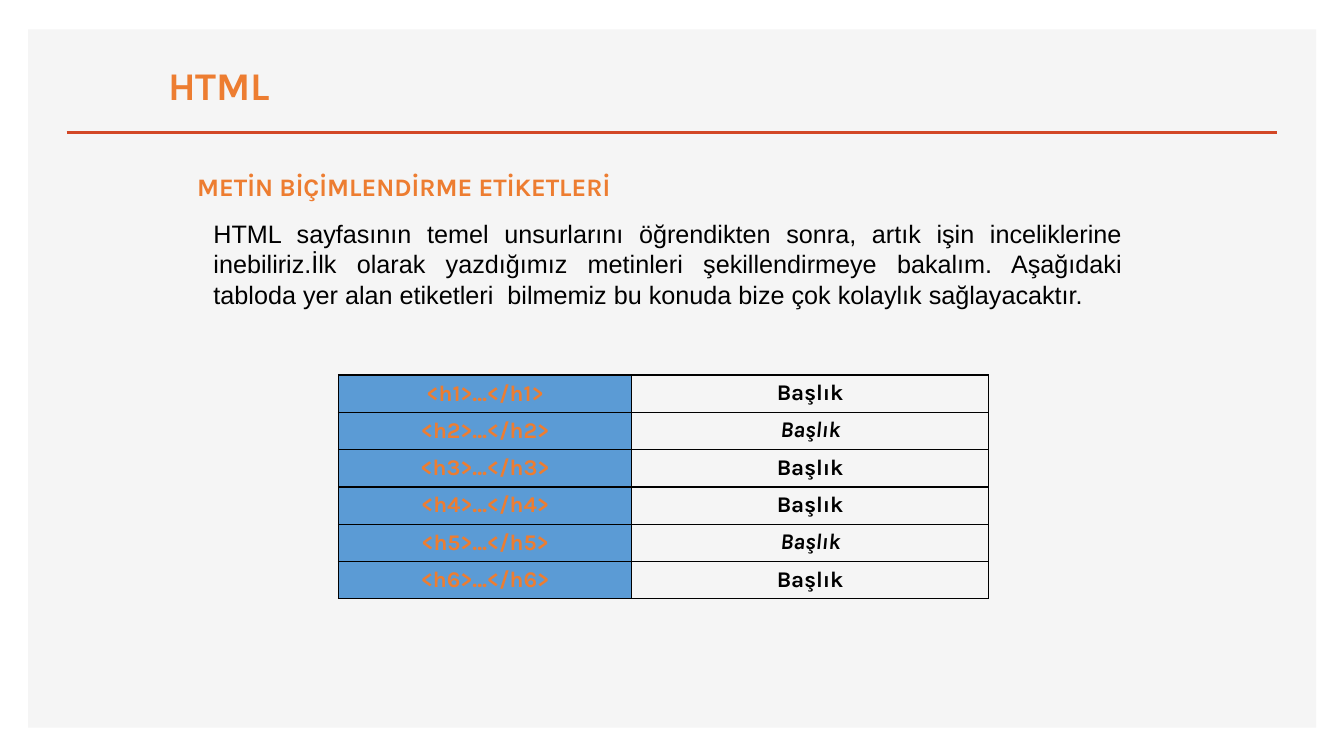
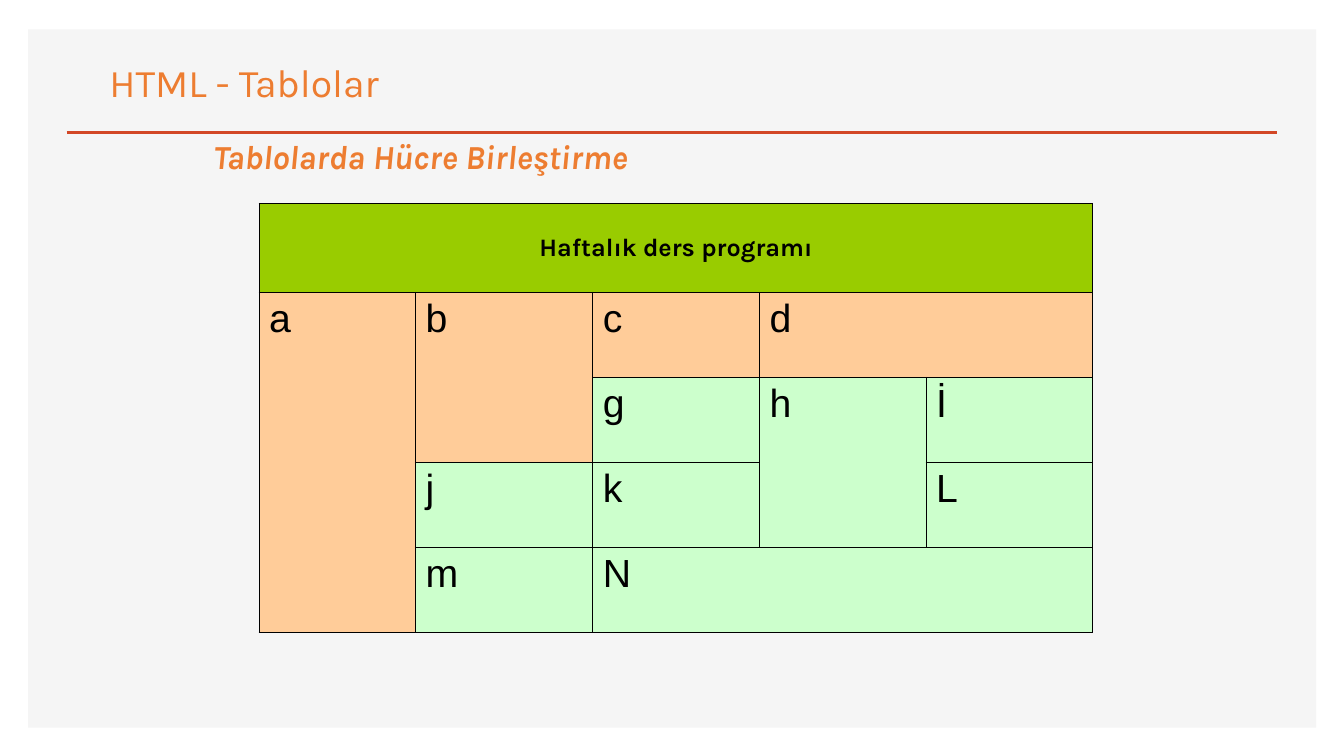
from dataclasses import dataclass, field

from lxml import etree
from pptx import Presentation
from pptx import util as u
from pptx.dml.color import RGBColor
from pptx.enum import shapes, text
from pptx.oxml.ns import qn


@dataclass(frozen=True)
class Theme:
    panel: str = "F5F5F5"
    rule: str = "D24726"
    accent: str = "ED7D31"
    ink: str = "000000"
    tag_fill: str = "5B9BD5"
    heading_fill: str = "99CC00"
    first_row_fill: str = "FFCC99"
    lesson_fill: str = "CCFFCC"
    display_font: str = "Karla"
    body_font: str = "Arial"
    title_size: int = 28
    subtitle_size: int = 24
    body_size: int = 18
    tag_size: int = 16
    rule_width: int = 2
    border_width: int = 1


THEME = Theme()
ALIGN = text.PP_ALIGN
ANCHOR = text.MSO_ANCHOR

TITLE = {"name": THEME.display_font, "size": THEME.title_size, "color": THEME.accent}
SUBTITLE = {**TITLE, "size": THEME.subtitle_size, "bold": True, "italic": True}
SECTION = {**TITLE, "size": THEME.body_size, "bold": True}
BODY = {"name": THEME.body_font, "size": THEME.body_size, "color": THEME.ink}
TAG = {**SECTION, "size": THEME.tag_size}
SAMPLE = {**TAG, "color": THEME.ink}
TABLE_HEADING = {**SECTION, "color": THEME.ink}
LESSON = {**BODY, "size": THEME.title_size}


@dataclass(frozen=True)
class Caption:
    """A text box; its position and size are in centimetres."""
    words: str
    left: float
    top: float
    width: float
    height: float
    style: dict = field(default_factory=dict)
    align: ALIGN = ALIGN.LEFT
    wrap: bool = False


@dataclass(frozen=True)
class Entry:
    """A table cell with the number of rows and columns it covers."""
    words: str
    row: int
    col: int
    style: dict
    fill: str | None = None
    rows: int = 1
    cols: int = 1
    align: ALIGN = ALIGN.LEFT
    anchor: ANCHOR = ANCHOR.TOP


def write(frame, words: str, style: dict, align: ALIGN) -> None:
    paragraph = frame.paragraphs[0]
    paragraph.alignment = align
    run = paragraph.add_run()
    run.text = words
    for name, value in style.items():
        if name == "color":
            run.font.color.rgb = RGBColor.from_string(value)
        else:
            setattr(run.font, name, u.Pt(value) if name == "size" else value)


def add_caption(slide, caption: Caption) -> None:
    box = slide.shapes.add_textbox(u.Cm(caption.left), u.Cm(caption.top),
                                   u.Cm(caption.width), u.Cm(caption.height))
    frame = box.text_frame
    frame.word_wrap = caption.wrap
    frame.auto_size = text.MSO_AUTO_SIZE.SHAPE_TO_FIT_TEXT
    write(frame, caption.words, caption.style, caption.align)


def add_backdrop(slide) -> None:
    """Draw the grey panel and the rule under the title."""
    panel = slide.shapes.add_shape(shapes.MSO_SHAPE.RECTANGLE, u.Cm(0.71), u.Cm(0.74),
                                   u.Cm(32.46), u.Cm(17.6))
    panel.shadow.inherit = False
    panel.fill.solid()
    panel.fill.fore_color.rgb = RGBColor.from_string(THEME.panel)
    panel.line.fill.background()

    rule = slide.shapes.add_connector(shapes.MSO_CONNECTOR.STRAIGHT, u.Cm(1.68), u.Cm(3.33),
                                      u.Cm(32.18), u.Cm(3.33))
    rule.line.color.rgb = RGBColor.from_string(THEME.rule)
    rule.line.width = u.Pt(THEME.rule_width)
    etree.SubElement(rule._element.spPr, qn("a:effectLst"))


def add_borders(cell) -> None:
    properties = cell._tc.get_or_add_tcPr()
    for side in ("a:lnL", "a:lnR", "a:lnT", "a:lnB"):
        border = etree.SubElement(properties, qn(side), w=str(u.Pt(THEME.border_width)))
        fill = etree.SubElement(border, qn("a:solidFill"))
        etree.SubElement(fill, qn("a:srgbClr"), val=THEME.ink)


def add_grid(slide, left: float, top: float, widths: list[float], heights: list[float],
             entries: list[Entry]) -> None:
    table = slide.shapes.add_table(len(heights), len(widths), u.Cm(left), u.Cm(top),
                                   u.Cm(sum(widths)), u.Cm(sum(heights))).table
    table.first_row = table.horz_banding = False
    for column, width in zip(table.columns, widths):
        column.width = u.Cm(width)
    for row, height in zip(table.rows, heights):
        row.height = u.Cm(height)
    for cell in table.iter_cells():
        add_borders(cell)
        cell.fill.background()
    for entry in entries:
        cell = table.cell(entry.row, entry.col)
        if entry.rows * entry.cols > 1:
            cell.merge(table.cell(entry.row + entry.rows - 1, entry.col + entry.cols - 1))
        cell.vertical_anchor = entry.anchor
        if entry.fill:
            cell.fill.solid()
            cell.fill.fore_color.rgb = RGBColor.from_string(entry.fill)
        write(cell.text_frame, entry.words, entry.style, entry.align)


def add_slide(deck, captions: list[Caption]):
    slide = deck.slides.add_slide(deck.slide_layouts[6])
    add_backdrop(slide)
    for caption in captions:
        add_caption(slide, caption)
    return slide


def lesson(words: str, row: int, col: int, rows: int = 1, cols: int = 1) -> Entry:
    fill = THEME.first_row_fill if row == 1 else THEME.lesson_fill
    return Entry(words, row, col, LESSON, fill, rows, cols)


def build_formatting_tags(deck) -> None:
    slide = add_slide(deck, [
        Caption("HTML", 3.99, 1.42, 3.33, 1.45, {**TITLE, "bold": True}),
        Caption("METİN BİÇİMLENDİRME ETİKETLERİ", 4.72, 4.19, 23.4, 1.02, SECTION, wrap=True),
        Caption("HTML sayfasının temel unsurlarını öğrendikten sonra, artık işin inceliklerine "
                "inebiliriz.İlk olarak yazdığımız metinleri şekillendirmeye bakalım. Aşağıdaki "
                "tabloda yer alan etiketleri  bilmemiz bu konuda bize çok kolaylık sağlayacaktır.",
                5.13, 5.38, 23.4, 2.54, BODY, ALIGN.JUSTIFY, wrap=True),
    ])
    levels = range(1, 7)
    tags = [Entry(f"<h{level}>…</h{level}>", level - 1, 0, TAG, THEME.tag_fill,
                  align=ALIGN.CENTER, anchor=ANCHOR.MIDDLE) for level in levels]
    samples = [Entry("Başlık", level - 1, 1, {**SAMPLE, "italic": level % 3 == 2},
                     align=ALIGN.CENTER) for level in levels]
    add_grid(slide, 8.53, 9.45, [7.39, 8.99], [0.94] * len(levels), tags + samples)


def build_cell_merging(deck) -> None:
    slide = add_slide(deck, [
        Caption("Tablolarda Hücre Birleştirme", 5.13, 3.3, 12.7, 1.27, SUBTITLE),
        Caption("HTML - Tablolar", 2.51, 1.35, 7.49, 1.45, TITLE),
    ])
    heading = Entry("Haftalık ders programı", 0, 0, TABLE_HEADING, THEME.heading_fill, cols=5,
                    align=ALIGN.CENTER, anchor=ANCHOR.MIDDLE)
    lessons = [
        lesson("a", 1, 0, rows=4), lesson("b", 1, 1, rows=2), lesson("c", 1, 2),
        lesson("d", 1, 3, cols=2),
        lesson("g", 2, 2), lesson("h", 2, 3, rows=2), lesson("İ", 2, 4),
        lesson("j", 3, 1), lesson("k", 3, 2), lesson("L", 3, 4),
        lesson("m", 4, 1), lesson("N", 4, 2, cols=3),
    ]
    add_grid(slide, 6.53, 5.13, [3.94, 4.47] + [4.2] * 3, [2.24] + [2.14] * 4,
             [heading, *lessons])


def main() -> None:
    deck = Presentation()
    deck.slide_width, deck.slide_height = u.Cm(33.87), u.Cm(19.05)
    build_formatting_tags(deck)
    build_cell_merging(deck)
    deck.save("out.pptx")


if __name__ == "__main__":
    main()
